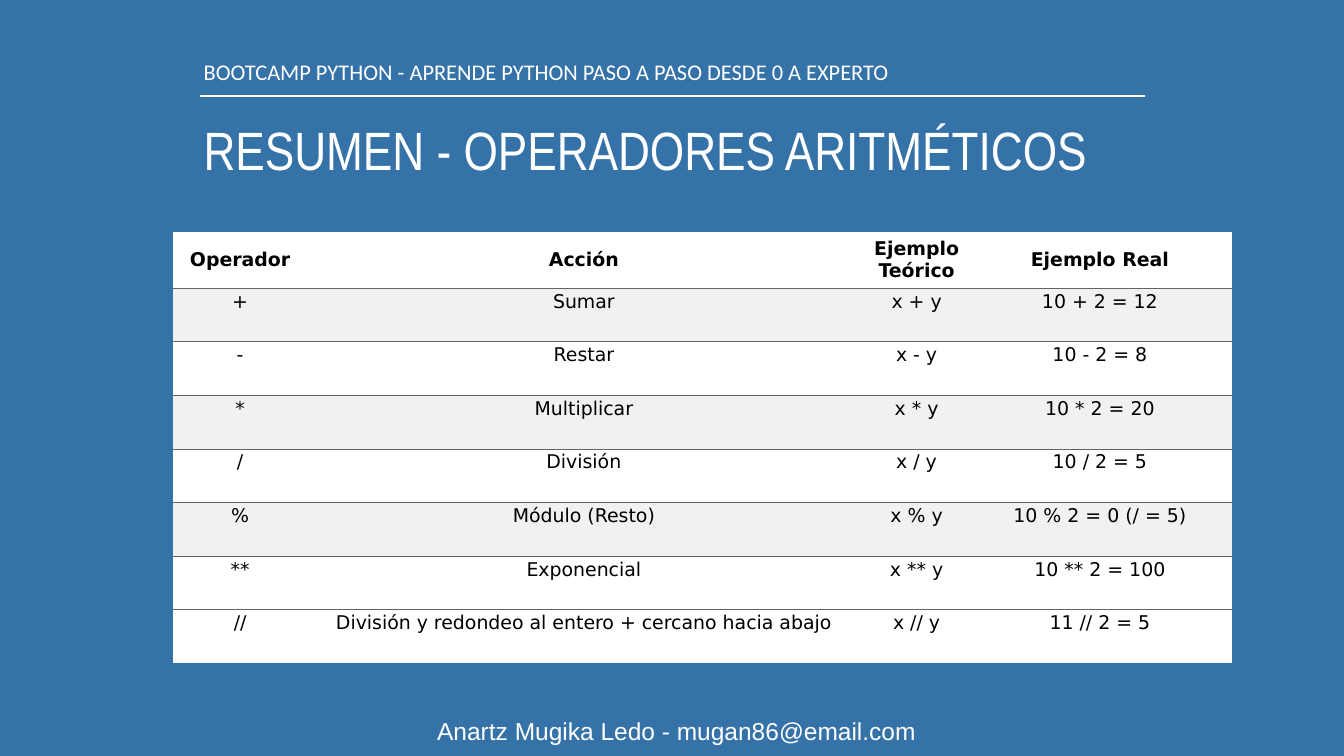
import pptx
import pptx.util
import pptx.dml.color
import pptx.enum.shapes
import pptx.enum.text
import pptx.oxml
import pptx.oxml.ns
import lxml.etree

Cm = pptx.util.Cm
Pt = pptx.util.Pt
RGBColor = pptx.dml.color.RGBColor
Align = pptx.enum.text.PP_ALIGN
Anchor = pptx.enum.text.MSO_ANCHOR

BLUE = RGBColor(0x34, 0x72, 0xA7)
WHITE = RGBColor(0xFF, 0xFF, 0xFF)
BLACK = RGBColor(0, 0, 0)
STRIPE = RGBColor(0xF1, 0xF1, 0xF1)
RULE = RGBColor(0x5F, 0x65, 0x68)
NO_STYLE = "{2D5ABB26-0587-4C30-8999-92F81FD0307C}"


def add_run(para, text, font, size, color, bold=False):
    span = para.add_run()
    span.text = text
    span.font.name = font
    span.font.size = Pt(size)
    span.font.color.rgb = color
    span.font.bold = bold


def add_border(cell, side):
    border = pptx.oxml.parse_xml(
        f'<a:{side} {pptx.oxml.ns.nsdecls("a")} w="{Pt(0.96)}"><a:solidFill>'
        f'<a:srgbClr val="{RULE}"/></a:solidFill></a:{side}>')
    cell._tc.get_or_add_tcPr().insert(0, border)


deck = pptx.Presentation()
deck.slide_width = Cm(67.72)
deck.slide_height = Cm(38.1)
page = deck.slides.add_slide(deck.slide_layouts[6])
page.background.fill.solid()
page.background.fill.fore_color.rgb = BLUE

# Rule under the course name
rule = page.shapes.add_connector(
    pptx.enum.shapes.MSO_CONNECTOR.STRAIGHT, Cm(10.06), Cm(4.83), Cm(57.68), Cm(4.83))
rule.line.color.rgb = WHITE
rule.line.width = Pt(2)
lxml.etree.SubElement(rule._element.spPr, pptx.oxml.ns.qn("a:effectLst"))

# Footer, title and course name
texts = [
    ("Anartz Mugika Ledo - mugan86@email.com", "Arial", 35,
     (0.53, 36.3, 67.13, 1.42), Anchor.BOTTOM, Align.CENTER, 0.7),
    ("RESUMEN - OPERADORES ARITMÉTICOS", "Arial Narrow", 77,
     (10.06, 6.32, 52.22, 3.12), Anchor.TOP, Align.LEFT, 0.8),
    ("BOOTCAMP PYTHON - APRENDE PYTHON PASO A PASO DESDE 0 A EXPERTO", "Calibri", 32,
     (10.06, 3.02, 43.66, 1.47), Anchor.BOTTOM, Align.LEFT, 0.8),
]
for text, font, size, place, anchor, align, spacing in texts:
    box = page.shapes.add_textbox(*[Cm(length) for length in place])
    frame = box.text_frame
    frame.word_wrap = True
    frame.vertical_anchor = anchor
    frame.margin_left = frame.margin_right = Cm(0.2)
    frame.margin_top = frame.margin_bottom = Cm(0.2)
    para = frame.paragraphs[0]
    para.alignment = align
    para.line_spacing = spacing
    add_run(para, text, font, size, WHITE)

# Table of operators
rows = [
    ("Operador", "Acción", "Ejemplo Teórico", "Ejemplo Real"),
    ("+", "Sumar", "x + y", "10 + 2 = 12"),
    ("-", "Restar", "x - y", "10 - 2 = 8"),
    ("*", "Multiplicar", "x * y", "10 * 2 = 20"),
    ("/", "División", "x / y", "10 / 2 = 5"),
    ("%", "Módulo (Resto)", "x % y", "10 % 2 = 0 (/ = 5)"),
    ("**", "Exponencial", "x ** y", "10 ** 2 = 100"),
    ("//", "División y redondeo al entero + cercano hacia abajo", "x // y", "11 // 2 = 5"),
]
widths = [6.5, 28.42, 5.11, 13.36]
last = len(rows) - 1
table = page.shapes.add_table(
    len(rows), len(widths), Cm(8.71), Cm(11.68), Cm(sum(widths)), Cm(21.74)).table
table._tbl.tblPr.find(pptx.oxml.ns.qn("a:tableStyleId")).text = NO_STYLE
for column, width in zip(table.columns, widths):
    column.width = Cm(width)

for r, values in enumerate(rows):
    header = r == 0
    table.rows[r].height = Cm(2.84 if header else 2.7)
    for c, value in enumerate(values):
        cell = table.cell(r, c)
        cell.margin_left = Cm(0.56 if c == 0 else 0.28)
        cell.margin_right = Cm(0.28)
        cell.margin_top = cell.margin_bottom = Cm(0.13)
        cell.vertical_anchor = Anchor.MIDDLE if header else Anchor.TOP
        cell.fill.solid()
        cell.fill.fore_color.rgb = STRIPE if r % 2 and r < last else WHITE
        if r < last:
            add_border(cell, "lnB")
        if not header:
            add_border(cell, "lnT")
        para = cell.text_frame.paragraphs[0]
        para.alignment = Align.CENTER
        add_run(para, value, "DejaVu Sans", 27, BLACK, bold=header)

deck.save("out.pptx")
